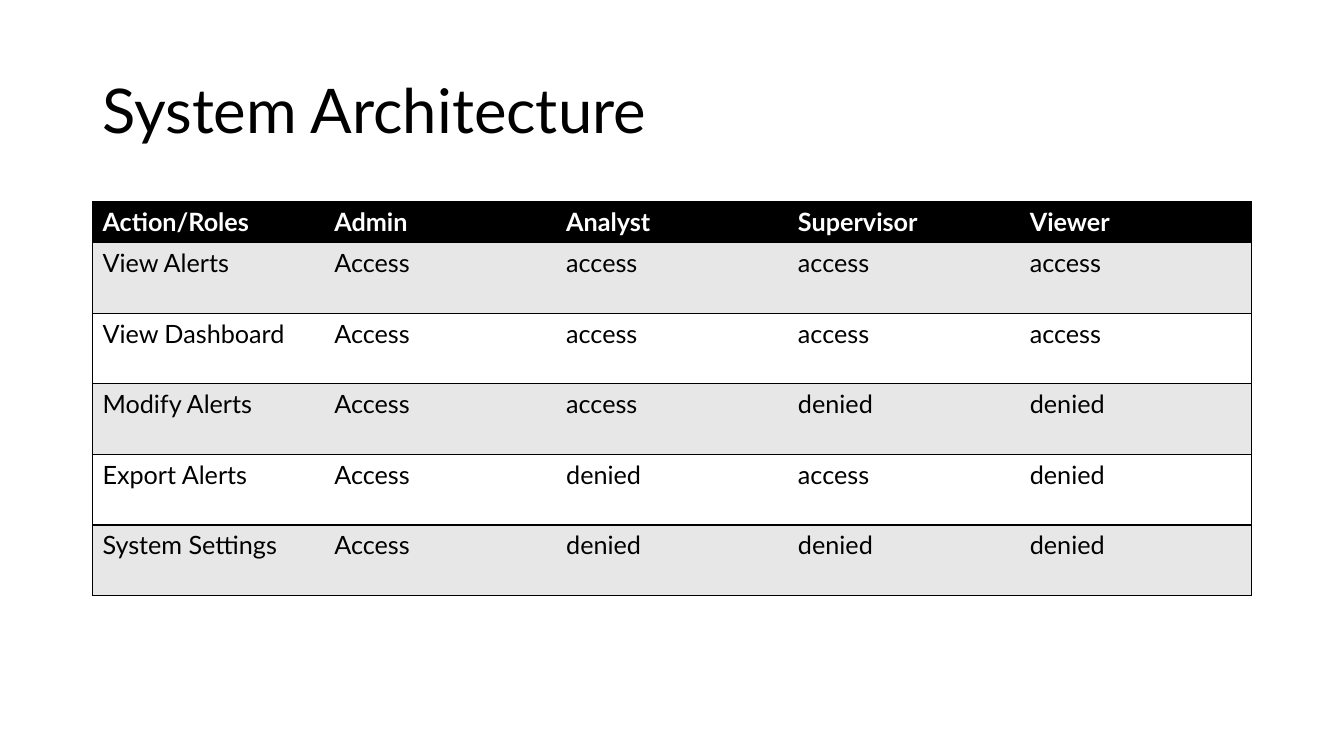
from dataclasses import dataclass

from lxml import etree
from pptx import Presentation
from pptx import util as u
from pptx.dml.color import RGBColor
from pptx.enum import text
from pptx.oxml import ns


@dataclass(frozen=True)
class Theme:
    font: str = "Lato"
    ink: str = "000000"
    paper: str = "FFFFFF"
    band: str = "E7E7E7"
    title_size: int = 44
    cell_size: int = 18
    rule_width: int = 1


THEME = Theme()

# Content
ROLES = ["Action/Roles", "Admin", "Analyst", "Supervisor", "Viewer"]
PERMISSIONS = [
    ["View Alerts", "Access", "access", "access", "access"],
    ["View Dashboard", "Access", "access", "access", "access"],
    ["Modify Alerts", "Access", "access", "denied", "denied"],
    ["Export Alerts", "Access", "denied", "access", "denied"],
    ["System Settings", "Access", "denied", "denied", "denied"],
]

# Layout
LEFT, WIDTH = u.Cm(2.33), u.Cm(29.21)
HEADER_HEIGHT, ROW_HEIGHT = u.Cm(1.03), u.Cm(1.78)


def add_run(paragraph, words, size, color, bold=False):
    run = paragraph.add_run()
    run.text = words
    run.font.name = THEME.font
    run.font.size = u.Pt(size)
    run.font.bold = bold
    run.font.color.rgb = RGBColor.from_string(color)


def add_title(slide, words):
    title = slide.shapes.add_textbox(LEFT, u.Cm(1.01), WIDTH, u.Cm(3.68))
    frame = title.text_frame
    frame.word_wrap = True
    frame.vertical_anchor = text.MSO_ANCHOR.MIDDLE
    frame.paragraphs[0].line_spacing = 0.9
    add_run(frame.paragraphs[0], words, THEME.title_size, THEME.ink)


def set_borders(cell, visible_sides):
    """Rule the visible sides and clear the others, ahead of the cell fill."""
    properties = cell._tc.get_or_add_tcPr()
    for position, side in enumerate("LRTB"):
        line = etree.Element(ns.qn(f"a:ln{side}"), w=str(u.Pt(THEME.rule_width)))
        if side in visible_sides:
            fill = etree.SubElement(line, ns.qn("a:solidFill"))
            etree.SubElement(fill, ns.qn("a:srgbClr"), val=THEME.ink)
        else:
            etree.SubElement(line, ns.qn("a:noFill"))
        properties.insert(position, line)


def fill_cell(cell, words, background, color, bold, sides):
    cell.fill.solid()
    cell.fill.fore_color.rgb = RGBColor.from_string(background)
    set_borders(cell, sides)
    add_run(cell.text_frame.paragraphs[0], words, THEME.cell_size, color, bold)


def add_permissions(slide):
    rows = [ROLES] + PERMISSIONS
    height = HEADER_HEIGHT + ROW_HEIGHT * len(PERMISSIONS)
    permissions = slide.shapes.add_table(
        len(rows), len(ROLES), LEFT, u.Cm(5.08), WIDTH, height).table
    last = len(ROLES) - 1
    for r, row in enumerate(rows):
        header = r == 0
        permissions.rows[r].height = HEADER_HEIGHT if header else ROW_HEIGHT
        background = THEME.ink if header else THEME.band if r % 2 else THEME.paper
        color = THEME.paper if header else THEME.ink
        for c, words in enumerate(row):
            sides = "TB" + ("L" if c == 0 else "R" if c == last else "")
            fill_cell(permissions.cell(r, c), words, background, color, header, sides)


def main():
    deck = Presentation()
    deck.slide_width, deck.slide_height = u.Cm(33.87), u.Cm(19.05)
    slide = deck.slides.add_slide(deck.slide_layouts[6])
    add_title(slide, "System Architecture")
    add_permissions(slide)
    deck.save("out.pptx")


if __name__ == "__main__":
    main()
